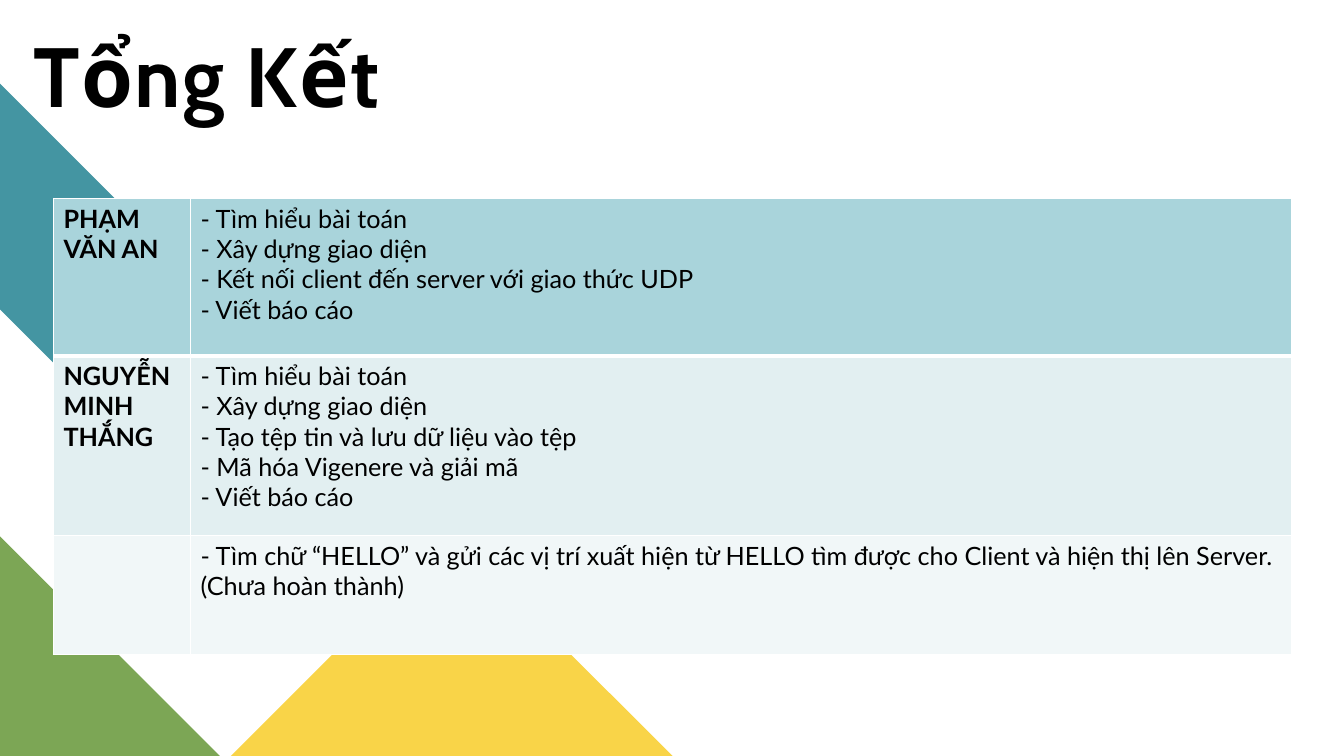
import pptx
import pptx.util
import pptx.dml.color
import pptx.enum.text
import pptx.oxml.ns
from lxml import etree
from pptx.util import Inches

TASKS = [
    ("PHẠM VĂN AN", "A9D4DB", 1.56, [
        "- Tìm hiểu bài toán",
        "- Xây dựng giao diện",
        "- Kết nối client đến server với giao thức UDP",
        "- Viết báo cáo",
    ]),
    ("NGUYỄN MINH THẮNG", "E2EFF1", 1.78, [
        "- Tìm hiểu bài toán",
        "- Xây dựng giao diện",
        "- Tạo tệp tin và lưu dữ liệu vào tệp",
        "- Mã hóa Vigenere và giải mã",
        "- Viết báo cáo",
    ]),
    ("", "F1F7F8", 1.18, [
        "- Tìm chữ “HELLO” và gửi các vị trí xuất hiện từ HELLO tìm được "
        "cho Client và hiện thị lên Server.",
        "(Chưa hoàn thành)",
    ]),
]


def color(value):
    return pptx.dml.color.RGBColor.from_string(value)


def write(paragraph, text, font="Lato", size=18, bold=False, ink="000000", spacing=None):
    run = paragraph.add_run()
    run.text = text
    run.font.name = font
    run.font.size = pptx.util.Pt(size)
    run.font.bold = bold
    run.font.color.rgb = color(ink)
    if spacing is not None:
        run.font._element.set("spc", str(int(spacing * 100)))


def set_borders(cell, **widths):
    """Draw white cell borders; widths are points keyed by L, R, T and B."""
    properties = cell._tc.get_or_add_tcPr()
    for index, side in enumerate("LRTB"):
        border = etree.Element(pptx.oxml.ns.qn(f"a:ln{side}"),
                               w=str(pptx.util.Pt(widths.get(side, 1))))
        fill = etree.SubElement(border, pptx.oxml.ns.qn("a:solidFill"))
        etree.SubElement(fill, pptx.oxml.ns.qn("a:srgbClr"), val="FFFFFF")
        properties.insert(index, border)


class SummarySlide:
    def __init__(self, presentation):
        self.slide = presentation.slides.add_slide(presentation.slide_layouts[5])

    def title(self, text, left, top, width, height):
        heading = self.slide.shapes.title
        heading.left, heading.top = Inches(left), Inches(top)
        heading.width, heading.height = Inches(width), Inches(height)
        frame = heading.text_frame
        frame.margin_left = frame.margin_right = 0
        frame.margin_top = frame.margin_bottom = 0
        frame.word_wrap = True
        frame.auto_size = pptx.enum.text.MSO_AUTO_SIZE.NONE
        frame.vertical_anchor = pptx.enum.text.MSO_ANCHOR.BOTTOM
        line = frame.paragraphs[0]
        line.alignment = pptx.enum.text.PP_ALIGN.LEFT
        line.line_spacing = 0.9
        write(line, text, font="Cabin", size=60, bold=True, spacing=1)

    def polygon(self, fill, *points):
        corners = [(Inches(x), Inches(y)) for x, y in points]
        builder = self.slide.shapes.build_freeform(*corners[0])
        builder.add_line_segments(corners[1:], close=True)
        ornament = builder.convert_to_shape()
        ornament.shadow.inherit = False
        ornament.fill.solid()
        ornament.fill.fore_color.rgb = color(fill)
        ornament.line.fill.background()

    def task_table(self, tasks, left, top, column_widths):
        height = sum(task[2] for task in tasks)
        frame = self.slide.shapes.add_table(
            len(tasks), len(column_widths), Inches(left), Inches(top),
            Inches(sum(column_widths)), Inches(height))
        table = frame.table
        table.first_row = table.horz_banding = False
        for column, width in zip(table.columns, column_widths):
            column.width = Inches(width)
        for index, (member, fill, row_height, duties) in enumerate(tasks):
            table.rows[index].height = Inches(row_height)
            member_cell, duties_cell = table.rows[index].cells
            self.task_cell(member_cell, [member], fill, index, bold=True)
            self.task_cell(duties_cell, duties, fill, index)

    def task_cell(self, cell, lines, fill, row, bold=False):
        cell.fill.solid()
        cell.fill.fore_color.rgb = color(fill)
        # A thicker rule separates the first row from the second
        set_borders(cell, T=3 if row == 1 else 1, B=3 if row == 0 else 1)
        frame = cell.text_frame
        for index, text in enumerate(lines):
            paragraph = frame.add_paragraph() if index else frame.paragraphs[0]
            if text:
                write(paragraph, text, bold=bold)


def main():
    presentation = pptx.Presentation()
    presentation.slide_width = Inches(13.33)
    presentation.slide_height = Inches(7.5)
    summary = SummarySlide(presentation)

    # Corner ornaments
    summary.polygon("4495A2", (0, 0.83), (0, 3.07), (2.24, 5.31), (3.36, 4.19))
    summary.polygon("7CA655", (0, 5.32), (0, 7.5), (2.18, 7.5))
    summary.polygon("F9D448", (6.67, 7.5), (4.48, 5.31), (2.29, 7.5))

    # Heading and work done by each member
    summary.title("Tổng Kết", 0.33, 0.35, 6.01, 0.9)
    summary.task_table(TASKS, 0.53, 1.97, [1.36, 10.92])

    presentation.save("out.pptx")


if __name__ == "__main__":
    main()
